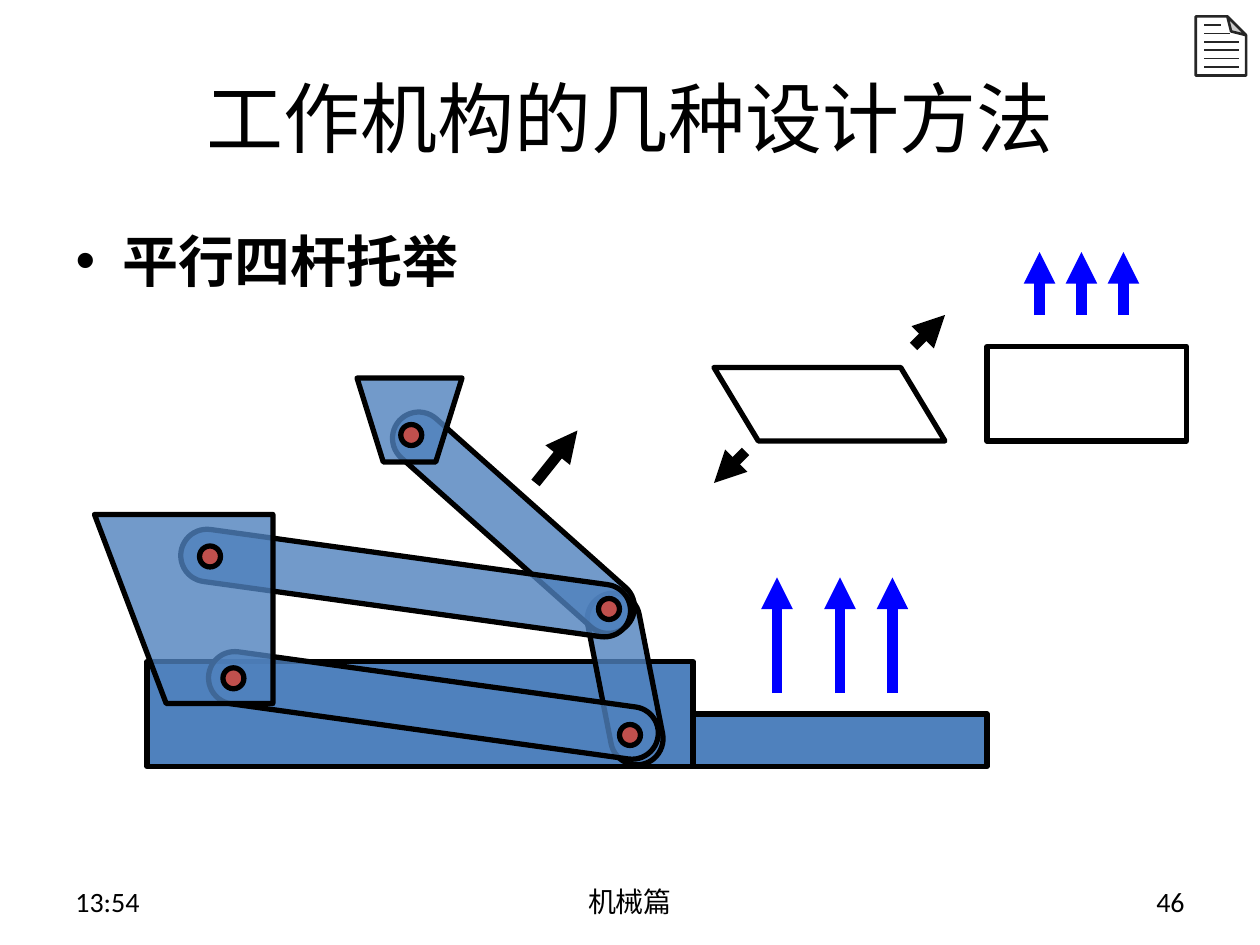
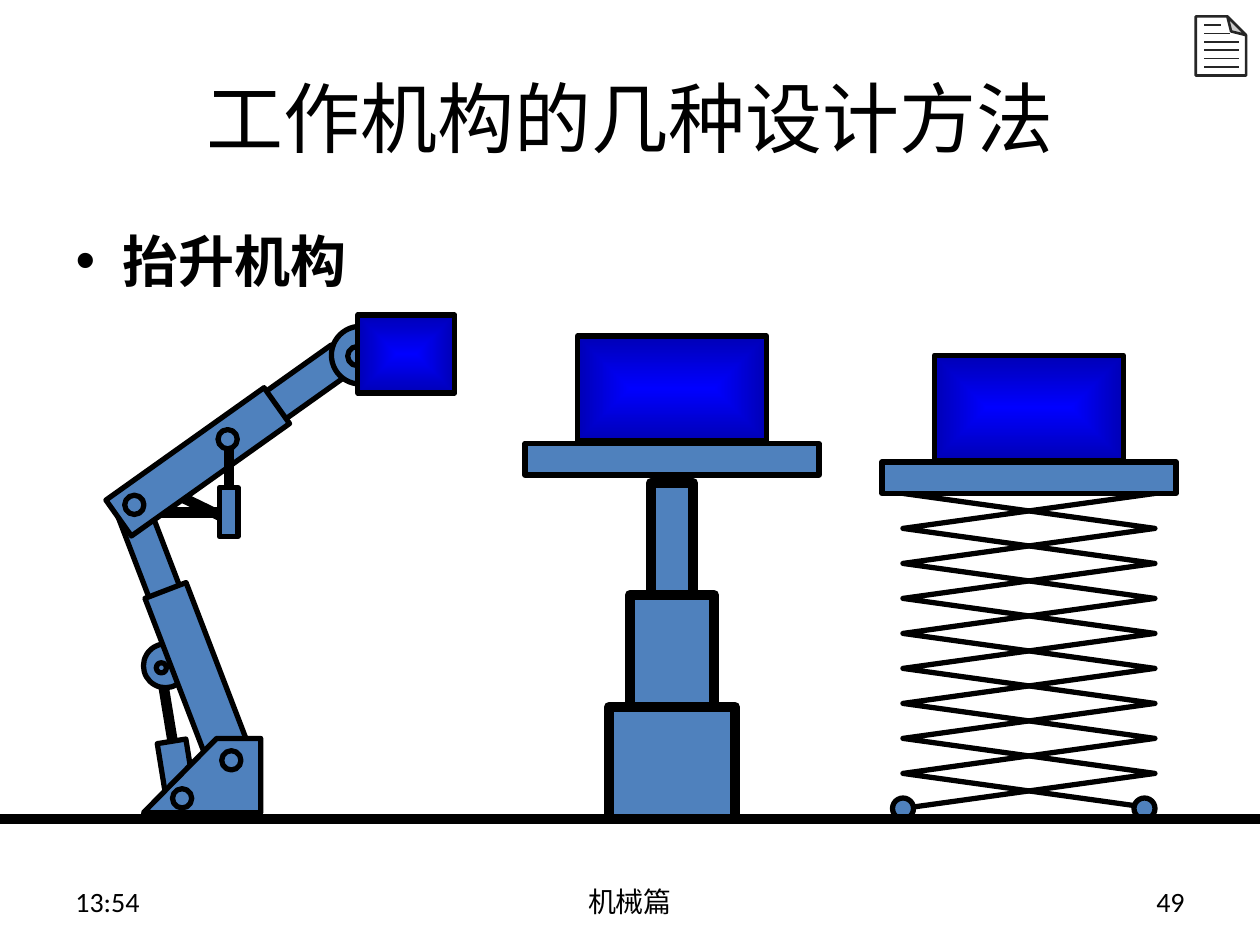
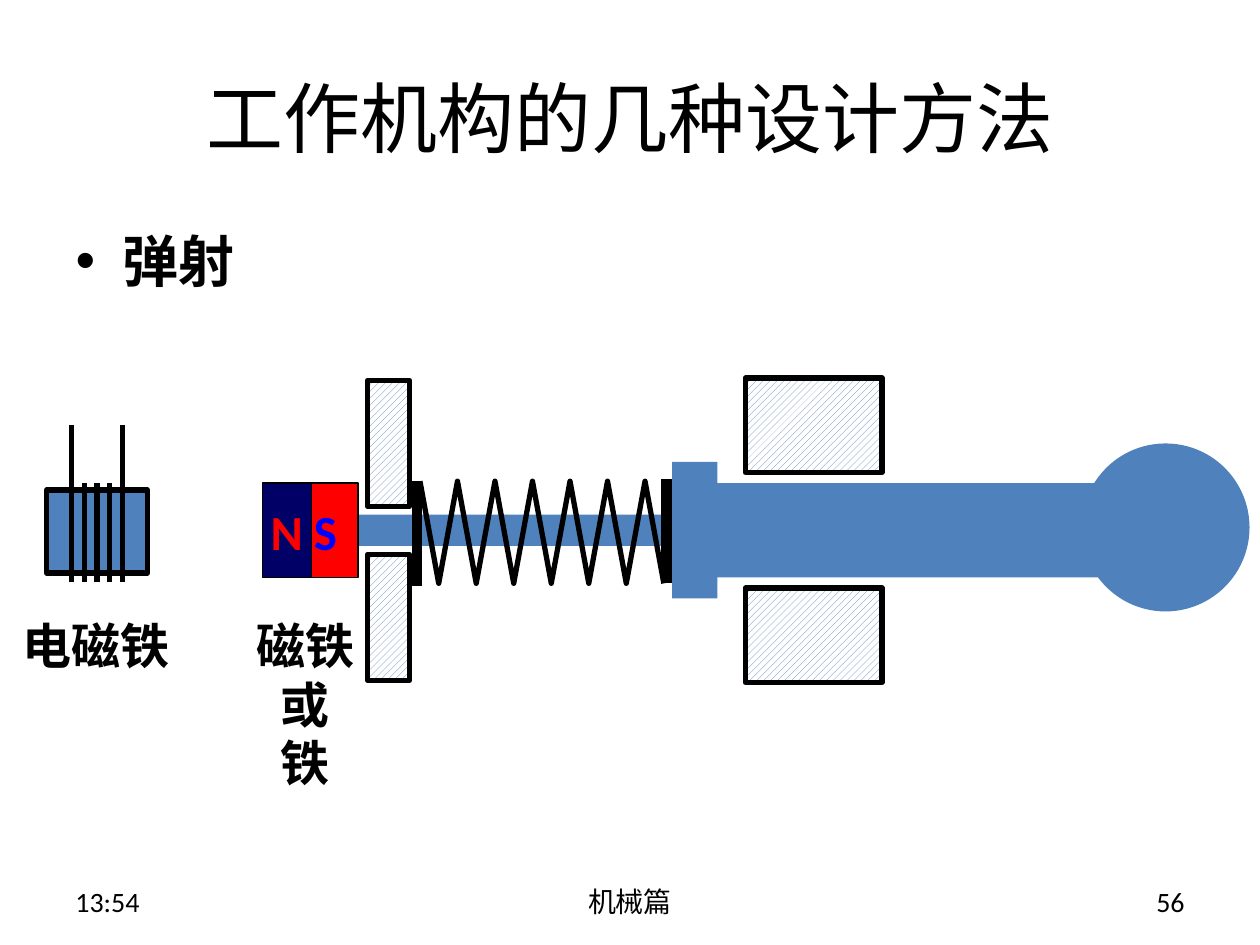
from dataclasses import dataclass
from typing import Optional

from lxml import etree
from pptx import Presentation
from pptx import util as u
from pptx.dml.color import RGBColor
from pptx.enum import dml, shapes, text
from pptx.oxml.ns import qn

Pt = u.Pt
KIND = shapes.MSO_SHAPE
RECT, OVAL, ROD = KIND.RECTANGLE, KIND.OVAL, KIND.ROUNDED_RECTANGLE
LEFT, MID, RIGHT = text.PP_ALIGN.LEFT, text.PP_ALIGN.CENTER, text.PP_ALIGN.RIGHT

BLACK = RGBColor(0x00, 0x00, 0x00)
WHITE = RGBColor(0xFF, 0xFF, 0xFF)
STEEL = RGBColor(0x4F, 0x81, 0xBD)
BRICK = RGBColor(0xC0, 0x50, 0x4D)
BLUE = RGBColor(0x00, 0x00, 0xFF)
DARK = RGBColor(0x00, 0x00, 0xB6)
NAVY = RGBColor(0x00, 0x00, 0x66)
RED = RGBColor(0xFF, 0x00, 0x00)
INK = RGBColor(0x26, 0x26, 0x26)

LATIN = "Calibri"
HAN = "Noto Sans CJK SC"
TITLE = "工作机构的几种设计方法"


@dataclass
class Part:
    x: float
    y: float
    w: float
    h: float
    kind: int = RECT
    fill: Optional[RGBColor] = STEEL
    edge: float = 3
    turn: float = 0
    adj: Optional[float] = None
    flip: str = ""
    alpha: int = 100
    ink: RGBColor = BLACK
    style: str = "solid"


@dataclass
class Outline:
    points: list
    fill: Optional[RGBColor] = STEEL
    alpha: int = 100


@dataclass
class Line:
    x1: float
    y1: float
    x2: float
    y2: float
    width: float = 6
    ink: RGBColor = BLACK
    arrow: bool = False


@dataclass
class Label:
    x: float
    y: float
    w: float
    h: float
    lines: list
    size: float = 28
    bold: bool = True
    align: int = LEFT
    inks: tuple = (BLACK,)
    wrap: bool = False
    anchor: int = text.MSO_ANCHOR.TOP


def style_font(font, size: float, bold: bool, ink: RGBColor, name: str = LATIN) -> None:
    font.size, font.bold, font.name = Pt(size), bold, name
    font.color.rgb = ink
    etree.SubElement(font._element, qn("a:ea")).set("typeface", HAN)


def paint(shape, fill: Optional[RGBColor], edge: float, ink: RGBColor = BLACK,
          alpha: int = 100, style: str = "solid") -> None:
    shape.shadow.inherit = False
    props = shape._element.spPr
    if fill is None:
        shape.fill.background()
    elif style == "hatch":
        shape.fill.patterned()
        shape.fill.pattern = dml.MSO_PATTERN.WIDE_UPWARD_DIAGONAL
        shape.fill.fore_color.rgb = fill
        shape.fill.back_color.rgb = WHITE
    elif style == "glow":
        shape.fill.gradient()
        for stop, tone in zip(shape.fill.gradient_stops, (fill, DARK)):
            stop.color.rgb = tone
        grad = props.find(qn("a:gradFill"))
        grad.remove(grad.find(qn("a:lin")))
        shade = etree.SubElement(grad, qn("a:path"), {"path": "shape"})
        etree.SubElement(shade, qn("a:fillToRect"), dict.fromkeys("ltrb", "50000"))
    else:
        shape.fill.solid()
        shape.fill.fore_color.rgb = fill
        if alpha < 100:
            tone = props.find(qn("a:solidFill"))[0]
            etree.SubElement(tone, qn("a:alpha")).set("val", str(alpha * 1000))
    if edge:
        shape.line.width = Pt(edge)
        shape.line.color.rgb = ink
    else:
        shape.line.fill.background()


def draw_part(slide, part: Part) -> None:
    shape = slide.shapes.add_shape(part.kind, Pt(part.x), Pt(part.y), Pt(part.w), Pt(part.h))
    props = shape._element.spPr
    if part.adj is not None:
        guides = props.find(qn("a:prstGeom")).find(qn("a:avLst"))
        guides.clear()
        etree.SubElement(guides, qn("a:gd"), name="adj", fmla=f"val {round(part.adj * 100000)}")
    shape.rotation = part.turn
    if part.flip:
        props.find(qn("a:xfrm")).set(part.flip, "1")
    paint(shape, part.fill, part.edge, part.ink, part.alpha, part.style)


def draw_outline(slide, item: Outline) -> None:
    points = [(Pt(x), Pt(y)) for x, y in item.points]
    pen = slide.shapes.build_freeform(*points[0])
    pen.add_line_segments(points[1:], close=item.fill is not None)
    paint(pen.convert_to_shape(), item.fill, 3, alpha=item.alpha)


def draw_line(slide, item: Line) -> None:
    link = slide.shapes.add_connector(shapes.MSO_CONNECTOR.STRAIGHT, Pt(item.x1), Pt(item.y1),
                                      Pt(item.x2), Pt(item.y2))
    link.line.width = Pt(item.width)
    link.line.color.rgb = item.ink
    props = link._element.spPr
    if item.arrow:
        etree.SubElement(props.find(qn("a:ln")), qn("a:tailEnd")).set("type", "triangle")
    etree.SubElement(props, qn("a:effectLst"))


def draw_label(slide, item: Label) -> None:
    frame = slide.shapes.add_textbox(Pt(item.x), Pt(item.y), Pt(item.w), Pt(item.h)).text_frame
    frame.word_wrap = item.wrap
    frame.vertical_anchor = item.anchor
    for i, words in enumerate(item.lines):
        para = frame.add_paragraph() if i else frame.paragraphs[0]
        para.alignment = item.align
        for word, ink in zip(words, item.inks):
            run = para.add_run()
            run.text = word
            style_font(run.font, item.size, item.bold, ink)


DRAW = {Part: draw_part, Outline: draw_outline, Line: draw_line, Label: draw_label}


def draw(slide, items: list) -> None:
    for item in items:
        DRAW[type(item)](slide, item)


def place(holder, words: str, x: float, y: float, w: float, h: float):
    holder.left, holder.top, holder.width, holder.height = Pt(x), Pt(y), Pt(w), Pt(h)
    holder.text_frame.text = words
    return holder.text_frame.paragraphs[0]


def start(deck, topic: str, number: int):
    slide = deck.slides.add_slide(deck.slide_layouts[1])
    head = place(slide.shapes.title, TITLE, 36, 21.6, 648, 90)
    head.alignment = MID
    style_font(head.runs[0].font, 44, False, BLACK, HAN)
    point = place(slide.placeholders[1], topic, 36, 126, 648, 356.4)
    point.space_before = Pt(0)
    style_font(point.runs[0].font, 32, True, BLACK)
    for x, w, words, align in ((36, 168, "13:54", LEFT), (246, 228, "机械篇", MID),
                               (516, 168, str(number), RIGHT)):
        draw_label(slide, Label(x, 500.4, w, 28.8, [[words]], 16, False, align,
                                wrap=True, anchor=text.MSO_ANCHOR.MIDDLE))
    return slide


def note_icon() -> list:
    sheet = Part(683.3, 9.4, 28.8, 33.8, KIND.FOLDED_CORNER, WHITE, 1.5,
                 adj=0.372, flip="flipV", ink=INK)
    ends = (697.7, 702.7, 707.8, 707.8, 707.8, 707.8)
    return [sheet] + [Line(688.3, 14.4 + 4.75 * i, end, 14.4 + 4.75 * i, 1, INK)
                      for i, end in enumerate(ends)]


def load(x: float, y: float, w: float = 108, h: float = 60) -> Part:
    return Part(x, y, w, h, fill=BLUE, style="glow")


def dots(size: float, spots: list, fill: RGBColor = STEEL) -> list:
    return [Part(x, y, size, size, OVAL, fill) for x, y in spots]


def linkage() -> list:
    rods = [(307.5, 373, 99.4, 78.9), (205.9, 283.7, 175, 41.7),
            (102.2, 318.2, 259.2, 7.9), (118.1, 388.1, 259.2, 7.9)]
    pins = [(114, 312), (127.4, 381.6), (229, 242.6), (342, 342), (354, 414)]
    return [
        Part(84, 378, 312, 60),
        *[Part(x, y, w, 30, ROD, turn=turn, adj=0.5, alpha=80) for x, y, w, turn in rods],
        Outline([(54, 294), (156, 294), (156, 402), (95, 402)], alpha=80),
        Part(396, 408, 168, 30),
        Outline([(204, 216), (219, 264), (249, 264), (264, 216)], alpha=80),
        *dots(12, pins, BRICK),
    ]


def motion() -> list:
    pushes = [(306, 276, 330, 246), (522, 198, 540, 180), (426, 258, 408, 276)]
    lifts = [(x, 396, x, 330) for x in (444, 480, 510)]
    lifts += [(x, 180, x, 144) for x in (594, 618, 642)]
    return [
        Part(408, 210, 132, 42, KIND.PARALLELOGRAM, None, adj=0.603, flip="flipH"),
        Part(564, 198, 114, 54, KIND.PARALLELOGRAM, None, adj=0),
        *[Line(*ends, arrow=True) for ends in pushes],
        *[Line(*ends, ink=BLUE, arrow=True) for ends in lifts],
    ]


def tower() -> list:
    stages = [Part(348 + 12 * i, 404 - 64 * i, 72 - 24 * i, 64, edge=6) for i in range(3)]
    return stages + [Part(300, 253.4, 168, 18), load(330, 192)]


def arm() -> list:
    bolts = [(198.7, 198), (124.6, 245.5), (71.3, 283), (126.7, 429), (98.6, 450.7)]
    return [
        Line(98.6, 423.4, 92.2, 384.5),
        Part(82, 368, 25, 25, OVAL),
        Part(92.9, 423.4, 16.6, 38.9, turn=350.8),
        Line(104.4, 284.4, 126.7, 295.2),
        Line(92.2, 293, 125.3, 293),
        Part(94.3, 227.5, 110.9, 19.4, turn=324.6),
        Part(39.6, 331.9, 110.9, 18.7, turn=69),
        Part(59, 376.6, 110.9, 25.2, turn=69),
        Outline([(82, 464.4), (149, 464.4), (149, 422), (123.8, 422)]),
        Part(57.6, 251.3, 110.9, 25.2, turn=324.6),
        Part(189.4, 186.5, 33, 33, OVAL),
        Line(131, 251.3, 131, 301),
        Part(125.3, 278.6, 10.8, 28),
        *dots(11, bolts),
        *dots(5.8, [(89.3, 378.7)]),
        load(204.5, 180, 55.4, 44.6),
    ]


def scissor() -> list:
    sides = (516, 660)
    bars = [Outline([(sides[(i + first) % 2], 462 - 20 * i) for i in range(10)], None)
            for first in range(2)]
    return bars + [Part(504, 264, 168, 18), load(534, 203),
                   *dots(12, [(510, 456), (648, 456)])]


def shooter() -> list:
    blocks = [(426, 216, 78, 54), (426, 336, 78, 54), (210, 217.4, 24, 72), (210, 316.8, 24, 72)]
    spring = [(240 + 10.72 * i, 333.4 if i % 2 else 275) for i in range(14)]
    return [
        Part(408, 276, 222, 54, edge=0),
        Part(204, 294, 210, 18, edge=0),
        Part(384, 264, 26, 78, edge=0),
        *[Part(*box, style="hatch") for box in blocks],
        Outline(spring, None),
        Line(381, 273.6, 381, 333.4),
        Line(238.3, 275, 238.3, 334.8),
        Part(618, 253.4, 96, 96, OVAL, edge=0),
    ]


def magnets() -> list:
    wires = [(41 + 7.2 * i, 242.6 if i in (0, 4) else 275.8) for i in range(5)]
    return [
        Part(26.6, 280, 57.6, 47.5),
        *[Line(x, 332.6, x, top, 3) for x, top in wires],
        Label(6, 348, 98.6, 41, [["电磁铁"]]),
        Label(139, 348, 70.6, 108, [["磁铁"], ["或"], ["铁"]], align=MID),
        Part(150, 276, 28.8, 54, fill=NAVY, edge=0.75),
        Part(178, 276, 26.6, 54, fill=RED, edge=0.75),
        Label(147.6, 283, 53.3, 41, [["N", " S"]], inks=(RED, BLUE)),
    ]


def main() -> None:
    deck = Presentation()
    deck.slide_width, deck.slide_height = Pt(720), Pt(540)
    ground = Line(0, 468, 720, 468)
    pages = [
        ("平行四杆托举", 46, linkage() + motion() + note_icon()),
        ("抬升机构", 49, tower() + arm() + scissor() + [ground] + note_icon()),
        ("弹射", 56, shooter() + magnets()),
    ]
    for topic, number, items in pages:
        draw(start(deck, topic, number), items)
    deck.save("out.pptx")


if __name__ == "__main__":
    main()
